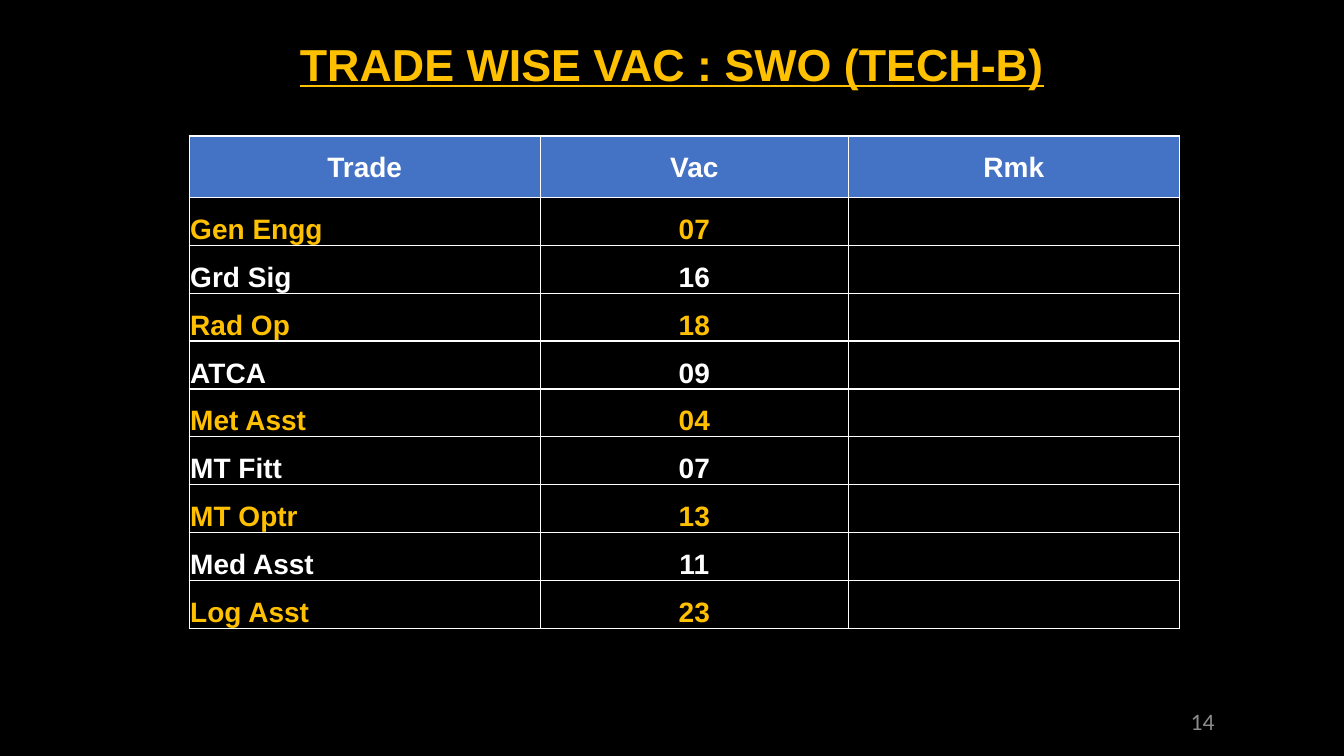
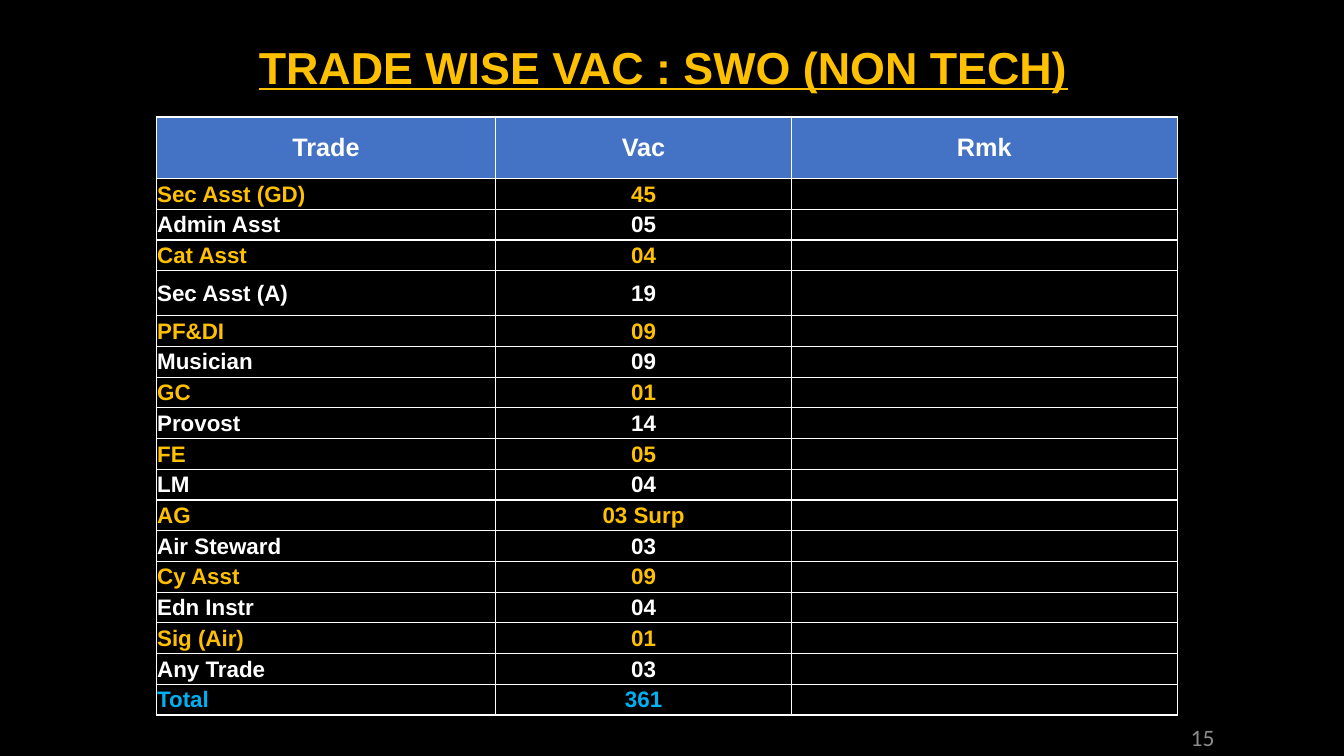
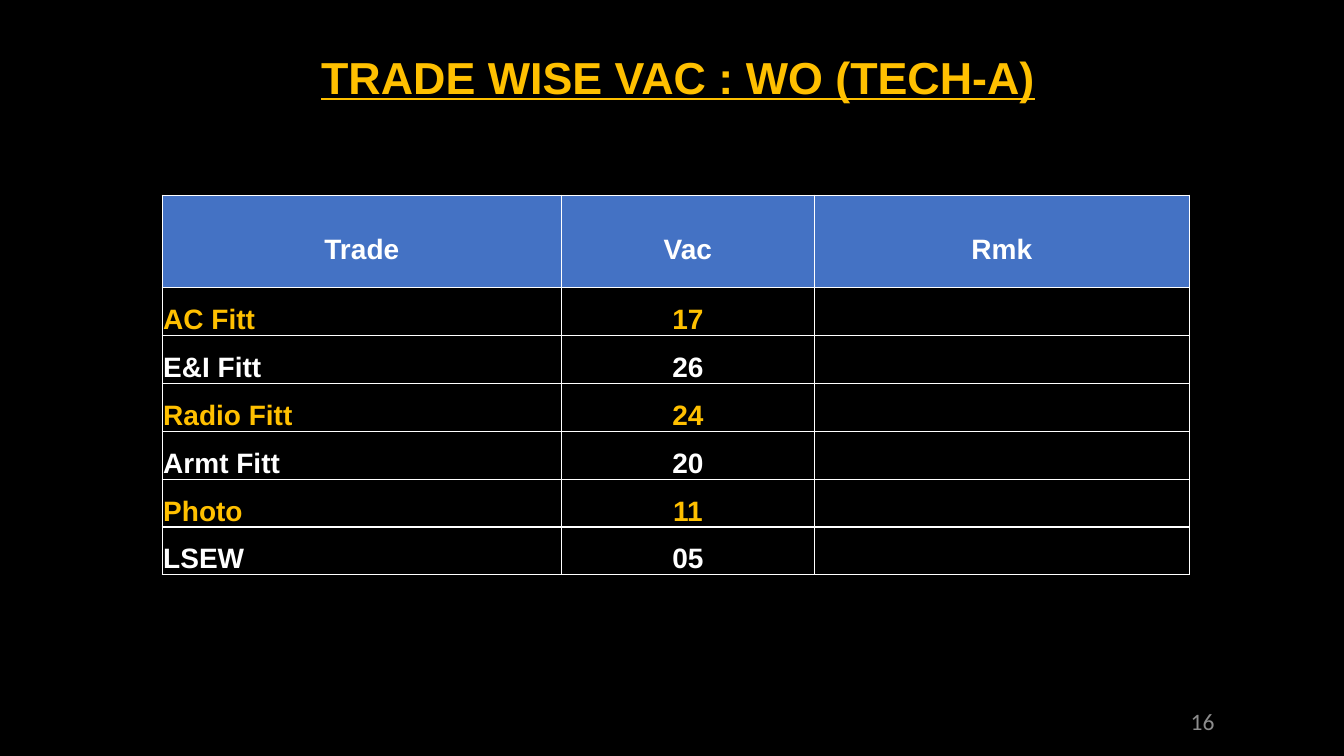
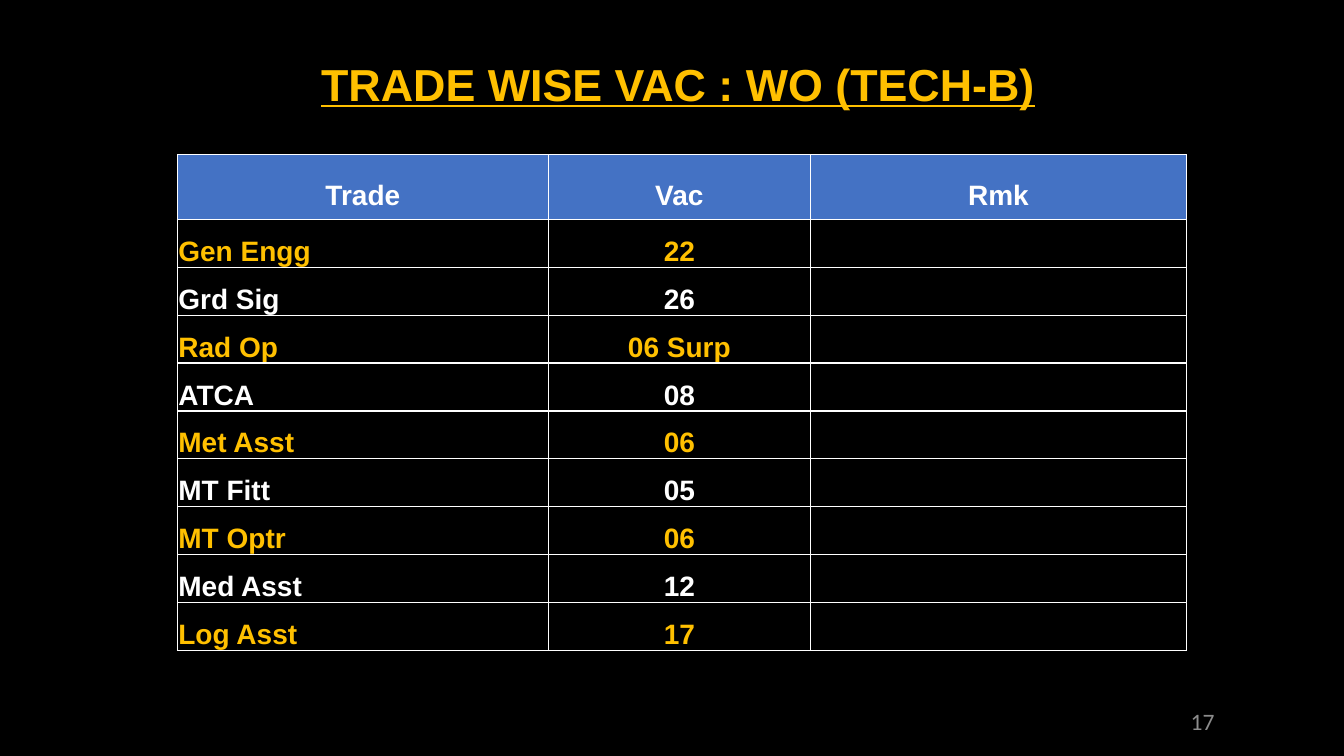
from dataclasses import dataclass

from lxml import etree
from pptx import Presentation
from pptx.dml.color import RGBColor
from pptx.enum.text import MSO_ANCHOR, MSO_AUTO_SIZE, PP_ALIGN
from pptx.oxml.ns import qn
from pptx.util import Pt

LEFT, MID = PP_ALIGN.LEFT, PP_ALIGN.CENTER
TOP, HALF = MSO_ANCHOR.TOP, MSO_ANCHOR.MIDDLE
FIXED = MSO_AUTO_SIZE.NONE

# Shared colours and fonts
BLACK, WHITE, GOLD = "000000", "FFFFFF", "FFC000"
BLUE, SKY, GREY = "4472C4", "00B0F0", "8C8C8C"
SANS, PLAIN = "Arial", "Calibri"
HEADS = ("Trade", "Vac", "Rmk")
FIRST = 14


@dataclass
class Page:
    """One slide with a title, a table and a page number; lengths in points."""
    title: str
    box: tuple[float, float, float]  # title left, top, width
    spot: tuple[float, float]  # table left, top
    cols: tuple[float, float, float]
    rows: list[tuple[str, str]]
    head: float  # header height
    row: float = 34.2
    tall: tuple[str, ...] = ()  # trades with a taller row
    size: float = 20
    big: float = 20  # header text size
    gap: float = 1.5  # line spacing of the body
    lead: float = 1.5  # line spacing of the header
    foot: float = 500.4  # page number top


PAGES = [
    Page("TRADE WISE VAC : SWO (TECH-B)", (80, 21.6, 800), (135.2, 97.2),
         (250.6, 220.3, 236.2),
         [("Gen Engg", "07"), ("Grd Sig", "16"), ("Rad Op", "18"),
          ("ATCA", "09"), ("Met Asst", "04"), ("MT Fitt", "07"),
          ("MT Optr", "13"), ("Med Asst", "11"), ("Log Asst", "23")],
         head=43.9, lead=1),
    Page("TRADE WISE VAC : SWO (NON TECH)", (78.5, 23.8, 790.6), (111.6, 83.5),
         (242.6, 211, 275.8),
         [("Sec Asst (GD)", "45"), ("Admin Asst", "05"), ("Cat Asst", "04"),
          ("Sec Asst (A)", "19"), ("PF&DI", "09"), ("Musician", "09"),
          ("GC", "01"), ("Provost", "14"), ("FE", "05"), ("LM", "04"),
          ("AG", "03 Surp"), ("Air Steward", "03"), ("Cy Asst", "09"),
          ("Edn Instr", "04"), ("Sig (Air)", "01"), ("Any Trade", "03"),
          ("Total", "361")],
         head=44, row=21.95, tall=("Sec Asst (A)",), size=16, big=18,
         gap=1, lead=1, foot=511.9),
    Page("TRADE WISE VAC : WO (TECH-A)", (80.6, 31, 807.8), (115.9, 139.5),
         (285.1, 180.7, 267.8),
         [("AC Fitt", "17"), ("E&I Fitt", "26"), ("Radio Fitt", "24"),
          ("Armt Fitt", "20"), ("Photo", "11"), ("LSEW", "05")],
         head=66),
    Page("TRADE WISE VAC : WO (TECH-B)", (80.6, 36, 807.8), (126.7, 110.5),
         (265, 187.2, 268.6),
         [("Gen Engg", "22"), ("Grd Sig", "26"), ("Rad Op", "06 Surp"),
          ("ATCA", "08"), ("Met Asst", "06"), ("MT Fitt", "05"),
          ("MT Optr", "06"), ("Med Asst", "12"), ("Log Asst", "17")],
         head=46.3),
]


def paint(fmt, tone: str) -> None:
    """Give a fill or a font a solid colour."""
    if hasattr(fmt, "solid"):
        fmt.solid()
        fmt = fmt.fore_color
    else:
        fmt = fmt.color
    fmt.rgb = RGBColor.from_string(tone)


def write(frame, text: str, face: str, size: float, tone: str, side=MID,
          gap: float = 1, bold: bool = False, line: bool = False) -> None:
    frame.text = text
    para = frame.paragraphs[0]
    para.alignment, para.line_spacing = side, gap
    for run in para.runs:
        font = run.font
        font.name, font.size = face, Pt(size)
        font.bold, font.underline = bold, line
        paint(font, tone)
    if not text:  # an empty cell keeps the text size of its row
        etree.SubElement(para._p, qn("a:endParaRPr"), sz=str(int(size * 100)))


def frame_cell(cell) -> None:
    """Draw a white 1 pt border on all four sides."""
    props = cell._tc.get_or_add_tcPr()
    for spot, tag in enumerate(("a:lnL", "a:lnR", "a:lnT", "a:lnB")):
        edge = etree.Element(qn(tag), w=str(Pt(1)))
        fill = etree.SubElement(edge, qn("a:solidFill"))
        etree.SubElement(fill, qn("a:srgbClr"), val=WHITE)
        props.insert(spot, edge)


def add_title(slide, page: Page) -> None:
    title = slide.shapes.title
    left, top, width = page.box
    title.left, title.top = Pt(left), Pt(top)
    title.width, title.height = Pt(width), Pt(47.5)
    frame = title.text_frame
    frame.word_wrap, frame.auto_size = True, FIXED
    frame.vertical_anchor = TOP
    frame.margin_left = frame.margin_right = Pt(8.6)
    frame.margin_top = frame.margin_bottom = Pt(4.3)
    write(frame, page.title, SANS, 32, GOLD, bold=True, line=True)


def add_grid(slide, page: Page) -> None:
    highs = [page.head] + [32.2 if name in page.tall else page.row
                           for name, _ in page.rows]
    left, top = page.spot
    grid = slide.shapes.add_table(
        len(highs), len(HEADS), Pt(left), Pt(top),
        Pt(sum(page.cols)), Pt(sum(highs))).table
    grid.horz_banding = False
    for col, width in zip(grid.columns, page.cols):
        col.width = Pt(width)
    for row, high in zip(grid.rows, highs):
        row.height = Pt(high)

    lines = [HEADS] + [(name, count, "") for name, count in page.rows]
    for r, line in enumerate(lines):
        # Body rows alternate gold and white; the total stands out
        tone = SKY if line[0] == "Total" else GOLD if r % 2 else WHITE
        size, gap = (page.size, page.gap) if r else (page.big, page.lead)
        for c, text in enumerate(line):
            cell = grid.cell(r, c)
            cell.margin_left = cell.margin_right = cell.margin_top = Pt(0.7)
            cell.margin_bottom = Pt(0)
            cell.vertical_anchor = HALF
            if r:
                cell.fill.background()
            else:
                paint(cell.fill, BLUE)
            frame_cell(cell)
            side = LEFT if r and c == 0 else MID
            write(cell.text_frame, text, SANS, size, tone, side, gap, True)


def add_foot(slide, page: Page, num: int) -> None:
    box = slide.shapes.add_textbox(Pt(823.7), Pt(page.foot), Pt(70.6), Pt(28.8))
    frame = box.text_frame
    frame.word_wrap, frame.vertical_anchor = True, HALF
    write(frame, str(num), PLAIN, 16.8, GREY)


def main() -> None:
    deck = Presentation()
    deck.slide_width, deck.slide_height = Pt(960), Pt(540)
    paint(deck.slide_master.background.fill, BLACK)
    for num, page in enumerate(PAGES, FIRST):
        slide = deck.slides.add_slide(deck.slide_layouts[5])
        add_grid(slide, page)
        add_title(slide, page)
        add_foot(slide, page, num)
    deck.save("out.pptx")


if __name__ == "__main__":
    main()
